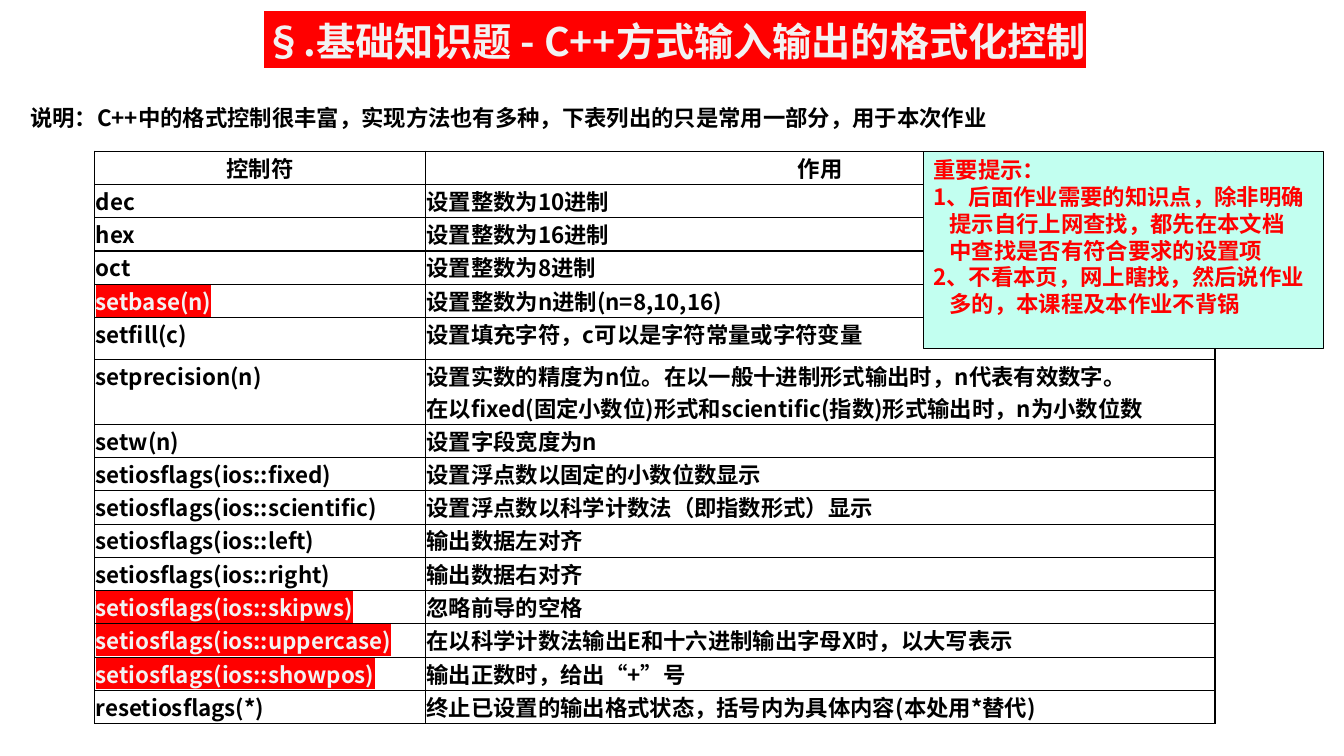
from lxml import etree
from pptx import Presentation
from pptx.dml.color import RGBColor
from pptx.enum.shapes import MSO_SHAPE
from pptx.enum.text import MSO_ANCHOR, MSO_AUTO_SIZE, PP_ALIGN
from pptx.oxml.ns import qn
from pptx.util import Inches, Pt

RECTANGLE = MSO_SHAPE.RECTANGLE
TOP, MIDDLE = MSO_ANCHOR.TOP, MSO_ANCHOR.MIDDLE
LEFT, CENTER = PP_ALIGN.LEFT, PP_ALIGN.CENTER
FONT = "Noto Sans CJK SC"
TITLE_ONLY = 5
COLORS = {"black": "000000", "white": "FFFFFF", "pale": "F2F2F2",
          "red": "FF0000", "mint": "C2FFF0"}

TITLE = "§.基础知识题 - C++方式输入输出的格式化控制"
EXPLANATION = "说明：C++中的格式控制很丰富，实现方法也有多种，下表列出的只是常用一部分，用于本次作业"
HEADER = ("控制符", "作用")
MANIPULATORS = [
    ("dec", "设置整数为10进制"),
    ("hex", "设置整数为16进制"),
    ("oct", "设置整数为8进制"),
    ("setbase(n)", "设置整数为n进制(n=8,10,16)"),
    ("setfill(c)", "设置填充字符，c可以是字符常量或字符变量"),
    ("setprecision(n)", "设置实数的精度为n位。在以一般十进制形式输出时，n代表有效数字。\n"
                        "在以fixed(固定小数位)形式和scientific(指数)形式输出时，n为小数位数"),
    ("setw(n)", "设置字段宽度为n"),
    ("setiosflags(ios::fixed)", "设置浮点数以固定的小数位数显示"),
    ("setiosflags(ios::scientific)", "设置浮点数以科学计数法（即指数形式）显示"),
    ("setiosflags(ios::left)", "输出数据左对齐"),
    ("setiosflags(ios::right)", "输出数据右对齐"),
    ("setiosflags(ios::skipws)", "忽略前导的空格"),
    ("setiosflags(ios::uppercase)", "在以科学计数法输出E和十六进制输出字母X时，以大写表示"),
    ("setiosflags(ios::showpos)", "输出正数时，给出“+”号"),
    ("resetiosflags(*)", "终止已设置的输出格式状态，括号内为具体内容(本处用*替代)"),
]
HIGHLIGHTED = {"setbase(n)", "setiosflags(ios::skipws)",
               "setiosflags(ios::uppercase)", "setiosflags(ios::showpos)"}
COLUMN_WIDTHS = (3.28, 7.83)
ROW_HEIGHT = 0.33
TALL_ROWS = {"setfill(c)": 0.42, "setprecision(n)": 0.64}
TIPS = [
    ("重要提示：", 0),
    ("1、后面作业需要的知识点，除非明确", 0),
    ("提示自行上网查找，都先在本文档", 0.16),
    ("中查找是否有符合要求的设置项", 0.16),
    ("2、不看本页，网上瞎找，然后说作业", 0),
    ("多的，本课程及本作业不背锅", 0.16),
]


def rgb(name):
    """Return the named colour."""
    return RGBColor.from_string(COLORS[name])


def apply(target, values):
    """Set every attribute given in a dict."""
    for name, value in values.items():
        setattr(target, name, value)


def write(para, text, color="black", size=16, highlight=None, align=LEFT):
    """Write one formatted span in a paragraph."""
    para.alignment = align
    span = para.add_run()
    span.text = text
    apply(span.font, {"name": FONT, "size": Pt(size), "bold": True})
    span.font.color.rgb = rgb(color)
    properties = span.font._element
    etree.SubElement(properties, qn("a:ea"), typeface=FONT)
    if highlight:
        mark = etree.Element(qn("a:highlight"))
        etree.SubElement(mark, qn("a:srgbClr"), val=COLORS[highlight])
        properties.find(qn("a:solidFill")).addnext(mark)


def set_frame(frame, vertical=0):
    """Make a text frame wrap from its top with even margins."""
    apply(frame, {"word_wrap": True, "auto_size": MSO_AUTO_SIZE.NONE,
                  "vertical_anchor": TOP,
                  "margin_left": Inches(0.1), "margin_right": Inches(0.1),
                  "margin_top": Inches(vertical), "margin_bottom": Inches(vertical)})


def place(shape, left, top, width, height):
    """Move and size a shape in inches."""
    apply(shape, {"left": Inches(left), "top": Inches(top),
                  "width": Inches(width), "height": Inches(height)})


def add_heading(page):
    """Fill the title and the explanation below it."""
    title = page.shapes.title
    place(title, 0.2, 0.17, 12.99, 0.6)
    set_frame(title.text_frame)
    write(title.text_frame.paragraphs[0], TITLE, "pale", 28, "red", CENTER)
    box = page.shapes.add_textbox(Inches(0.2), Inches(1.03), Inches(12.99), Inches(0.35))
    set_frame(box.text_frame)
    write(box.text_frame.paragraphs[0], EXPLANATION)


def draw_borders(cell):
    """Draw a thin black line on each side of a cell."""
    properties = cell._tc.get_or_add_tcPr()
    for position, side in enumerate(("lnL", "lnR", "lnT", "lnB")):
        line = etree.Element(qn(f"a:{side}"), w=str(Pt(1)))
        fill = etree.SubElement(line, qn("a:solidFill"))
        etree.SubElement(fill, qn("a:srgbClr"), val=COLORS["black"])
        properties.insert(position, line)


def fill_cell(cell, text, is_header):
    """Format a table cell and write its lines."""
    apply(cell, {"margin_left": Inches(0.01), "margin_right": Inches(0.01),
                 "margin_top": 0, "margin_bottom": 0,
                 "vertical_anchor": MIDDLE if is_header else TOP})
    cell.fill.solid()
    cell.fill.fore_color.rgb = rgb("white")
    draw_borders(cell)
    color, highlight = ("pale", "red") if text in HIGHLIGHTED else ("black", None)
    frame = cell.text_frame
    for index, line in enumerate(text.split("\n")):
        para = frame.add_paragraph() if index else frame.paragraphs[0]
        write(para, line, color, highlight=highlight, align=CENTER if is_header else LEFT)


def add_manipulator_table(page):
    """Add the table of format manipulators."""
    rows = [HEADER, *MANIPULATORS]
    heights = [TALL_ROWS.get(name, ROW_HEIGHT) for name, _ in rows]
    table = page.shapes.add_table(
        len(rows), len(HEADER), Inches(0.94), Inches(1.5),
        Inches(sum(COLUMN_WIDTHS)), Inches(sum(heights))).table
    apply(table, {"first_row": False, "horz_banding": False})
    for column, width in zip(table.columns, COLUMN_WIDTHS):
        column.width = Inches(width)
    for index, (texts, height) in enumerate(zip(rows, heights)):
        table.rows[index].height = Inches(height)
        for column, text in enumerate(texts):
            fill_cell(table.cell(index, column), text, index == 0)


def add_tips(page):
    """Add the box of important tips."""
    box = page.shapes.add_shape(RECTANGLE, Inches(9.16), Inches(1.5),
                                Inches(3.97), Inches(1.96))
    box.shadow.inherit = False
    box.fill.solid()
    box.fill.fore_color.rgb = rgb("mint")
    box.line.color.rgb = rgb("black")
    box.line.width = Pt(0.75)
    frame = box.text_frame
    set_frame(frame, 0.05)
    for index, (text, indent) in enumerate(TIPS):
        para = frame.add_paragraph() if index else frame.paragraphs[0]
        para.line_spacing = Pt(19.2)
        para._p.get_or_add_pPr().set("marL", str(Inches(indent)))
        write(para, text, "red")


def main():
    """Build and save the slide."""
    deck = Presentation()
    apply(deck, {"slide_width": Inches(13.33), "slide_height": Inches(7.5)})
    page = deck.slides.add_slide(deck.slide_layouts[TITLE_ONLY])
    add_heading(page)
    add_manipulator_table(page)
    add_tips(page)
    deck.save("out.pptx")


if __name__ == "__main__":
    main()
